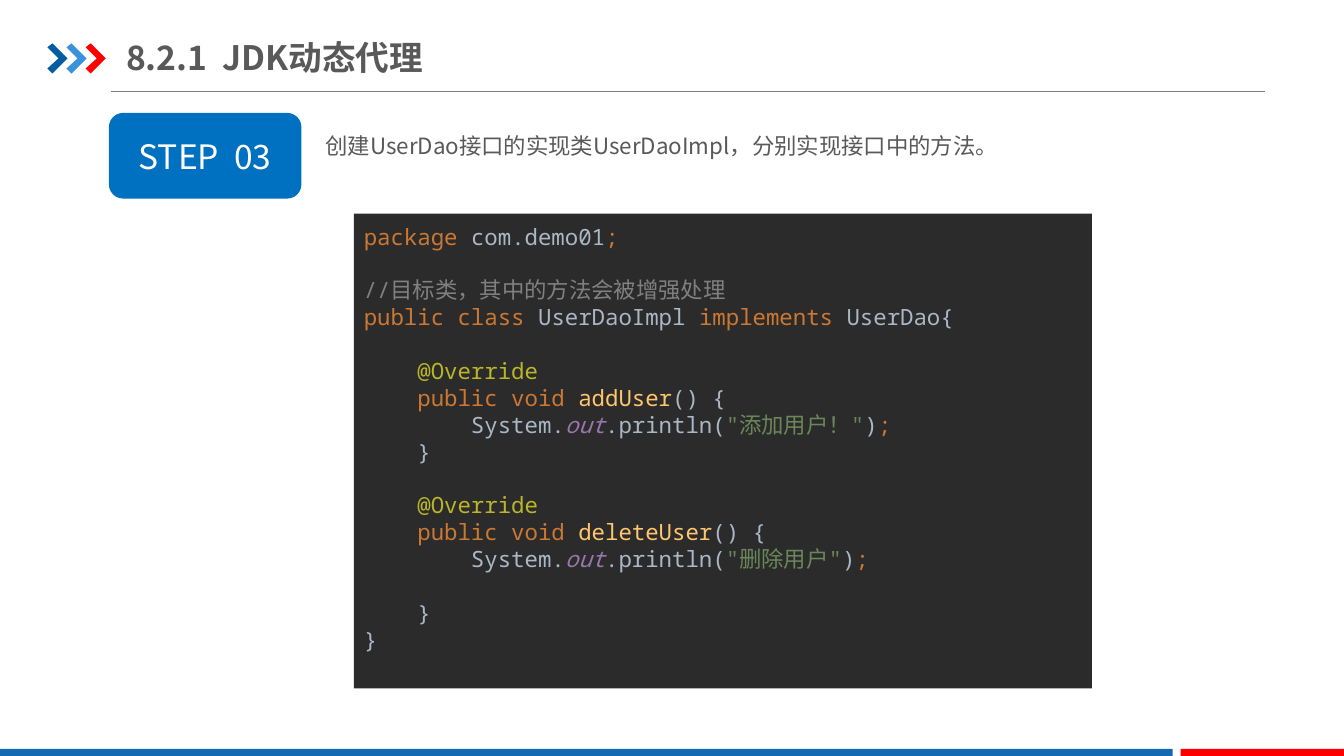
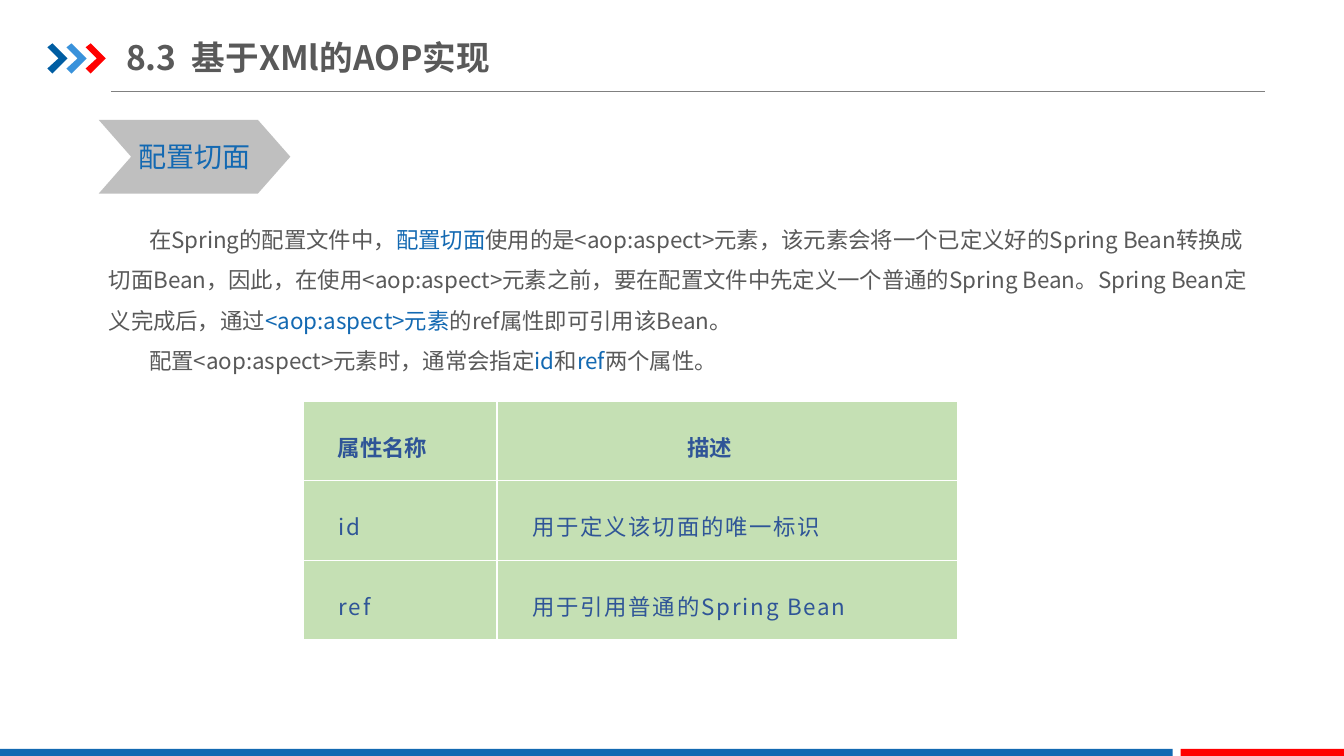
from dataclasses import dataclass
from typing import Any

from lxml.etree import SubElement
from pptx import Presentation
from pptx.dml.color import RGBColor
from pptx.enum.shapes import MSO_CONNECTOR as Connector, MSO_SHAPE as Preset
from pptx.enum.text import MSO_ANCHOR as Anchor, PP_ALIGN as Align
from pptx.oxml.ns import qn
from pptx.util import Inches, Pt

SANS = "Noto Sans CJK SC"
MONO = "Noto Sans Mono"

WHITE = RGBColor(0xFF, 0xFF, 0xFF)
GREY_TEXT = RGBColor(0x59, 0x59, 0x59)
GREY_RULE = RGBColor(0x80, 0x80, 0x80)
GREY_FILL = RGBColor(0xBF, 0xBF, 0xBF)
DARK_BLUE = RGBColor(0x00, 0x5D, 0xA2)
LIGHT_BLUE = RGBColor(0x39, 0x92, 0xDB)
BLUE = RGBColor(0x13, 0x69, 0xB2)
STEP_BLUE = RGBColor(0x00, 0x70, 0xC0)
RED = RGBColor(0xFF, 0x00, 0x00)
TABLE_BLUE = RGBColor(0x2F, 0x55, 0x97)
TABLE_GREEN = RGBColor(0xC5, 0xE0, 0xB4)

CODE_FILL = RGBColor(0x2B, 0x2B, 0x2B)
KEYWORD = RGBColor(0xCC, 0x78, 0x32)
PLAIN = RGBColor(0xA9, 0xB7, 0xC6)
COMMENT = RGBColor(0x80, 0x80, 0x80)
ANNOTATION = RGBColor(0xBB, 0xB5, 0x29)
METHOD = RGBColor(0xFF, 0xC6, 0x6D)
FIELD = RGBColor(0x98, 0x76, 0xAA)
STRING = RGBColor(0x6A, 0x87, 0x59)

TITLE_FORMAT = {"name": SANS, "size": Pt(24), "bold": True}
BODY_FORMAT = {"name": SANS, "size": Pt(16)}
LABEL_FORMAT = {"name": SANS, "size": Pt(20)}
STEP_FORMAT = {"name": SANS, "size": Pt(24)}
CODE_FORMAT = {"name": MONO, "size": Pt(16)}
HEADER_FORMAT = BODY_FORMAT | {"bold": True}

CODE_PITCH = Pt(19.2)
BODY_PITCH = Pt(28.8)
CELL_PITCH = Pt(22)


@dataclass(frozen=True)
class Box:
    left: float
    top: float
    width: float
    height: float

    def lengths(self) -> list[int]:
        return [Inches(value) for value in (self.left, self.top, self.width, self.height)]


@dataclass(frozen=True)
class Span:
    text: str
    color: RGBColor = GREY_TEXT
    italic: bool = False


@dataclass(frozen=True)
class CodeLine:
    spans: list[Span]
    gap_before: bool = False


def apply_format(target: Any, values: dict[str, Any]) -> None:
    for name, value in values.items():
        setattr(target, name, value)


def add_spans(para: Any, spans: list[Span], font_format: dict[str, Any], tracking: int = 0) -> None:
    """Add runs in one format; tracking is in hundredths of a point."""
    for span in spans:
        run = para.add_run()
        run.text = span.text
        apply_format(run.font, font_format | {"italic": span.italic})
        run.font.color.rgb = span.color
        properties = run._r.get_or_add_rPr()
        SubElement(properties, qn("a:ea"), typeface=SANS)
        if tracking:
            properties.set("spc", str(tracking))


def paint(shape: Any, color: RGBColor) -> None:
    shape.shadow.inherit = False
    shape.fill.solid()
    shape.fill.fore_color.rgb = color
    shape.line.fill.background()


def add_panel(slide: Any, preset: Preset, box: Box, color: RGBColor) -> Any:
    shape = slide.shapes.add_shape(preset, *box.lengths())
    paint(shape, color)
    return shape


def add_label(shape: Any, span: Span, font_format: dict[str, Any]) -> None:
    frame = shape.text_frame
    apply_format(frame, {"word_wrap": False, "vertical_anchor": Anchor.MIDDLE})
    para = frame.paragraphs[0]
    para.alignment = Align.CENTER
    add_spans(para, [span], font_format)


def add_body(slide: Any, box: Box, paragraphs: list[list[Span]], indent: float = 0) -> None:
    frame = slide.shapes.add_textbox(*box.lengths()).text_frame
    frame.word_wrap = True
    for index, spans in enumerate(paragraphs):
        para = frame.add_paragraph() if index else frame.paragraphs[0]
        para.line_spacing = BODY_PITCH
        para._p.get_or_add_pPr().set("indent", str(Inches(indent)))
        add_spans(para, spans, BODY_FORMAT)


def add_arrowhead(slide: Any, left: float, color: RGBColor) -> None:
    outline = [(0, 0.47), (0.05, 0.43), (0.2, 0.58), (0.05, 0.73), (0, 0.68), (0.11, 0.58)]
    points = [(Inches(left + x), Inches(y)) for x, y in outline]
    builder = slide.shapes.build_freeform(*points[0])
    builder.add_line_segments(points[1:], close=True)
    paint(builder.convert_to_shape(), color)


def dress_layout(layout: Any, slide: Any) -> None:
    """Draw the shared decoration on a slide, then move it to the layout."""
    apply_format(layout.placeholders[0], dict(zip(
        ("left", "top", "width", "height"), Box(1.25, 0.29, 11.3, 0.55).lengths())))
    apply_format(layout.placeholders[0].text_frame, {
        "margin_left": 0, "margin_right": 0, "margin_top": Inches(0.07),
        "margin_bottom": Inches(0.07), "vertical_anchor": Anchor.MIDDLE, "word_wrap": True})

    kept = len(slide.shapes)
    rule = slide.shapes.add_connector(
        Connector.STRAIGHT, Inches(1.1), Inches(0.91), Inches(12.55), Inches(0.91))
    rule.line.color.rgb = GREY_RULE
    rule.line.width = Pt(0.5)
    SubElement(rule._element.spPr, qn("a:effectLst"))
    for index, color in enumerate((DARK_BLUE, LIGHT_BLUE, RED)):
        add_arrowhead(slide, 0.47 + 0.19 * index, color)
    add_panel(slide, Preset.RECTANGLE, Box(0, 7.43, 11.63, 0.07), BLUE)
    add_panel(slide, Preset.RECTANGLE, Box(11.71, 7.43, 1.62, 0.07), RED)
    for shape in list(slide.shapes)[kept:]:
        layout.shapes._spTree.append(shape._element)


def set_title(slide: Any, text: str) -> None:
    para = slide.shapes.title.text_frame.paragraphs[0]
    para.alignment = Align.LEFT
    add_spans(para, [Span(text)], TITLE_FORMAT)


def method_lines(name: str, message: str, gap_before_end: bool) -> list[CodeLine]:
    return [
        CodeLine([Span("    @Override", ANNOTATION)], True),
        CodeLine([Span("    public void ", KEYWORD), Span(name, METHOD), Span("() {", PLAIN)]),
        CodeLine([Span("        System.", PLAIN), Span("out", FIELD, True),
                  Span(".println(", PLAIN), Span(f'"{message}"', STRING),
                  Span(")", PLAIN), Span(";", KEYWORD)]),
        CodeLine([Span("    }", PLAIN)], gap_before_end),
    ]


def add_code(slide: Any, box: Box, lines: list[CodeLine]) -> None:
    frame = add_panel(slide, Preset.RECTANGLE, box, CODE_FILL).text_frame
    apply_format(frame, {"word_wrap": True, "vertical_anchor": Anchor.TOP,
                         "margin_top": Inches(0.09)})
    for index, line in enumerate(lines):
        para = frame.add_paragraph() if index else frame.paragraphs[0]
        apply_format(para, {"alignment": Align.LEFT, "line_spacing": CODE_PITCH})
        if line.gap_before:
            para.space_before = CODE_PITCH
        add_spans(para, line.spans, CODE_FORMAT)


def style_cell(cell: Any) -> None:
    properties = cell._tc.get_or_add_tcPr()
    for side in ("a:lnL", "a:lnR", "a:lnT", "a:lnB"):
        border = SubElement(properties, qn(side), w=str(Pt(1)))
        fill = SubElement(border, qn("a:solidFill"))
        SubElement(fill, qn("a:srgbClr"), val=str(WHITE))
    cell.fill.solid()
    cell.fill.fore_color.rgb = TABLE_GREEN


def add_attribute_table(slide: Any, rows: list[tuple[str, str]]) -> None:
    widths = (1.92, 4.57)
    row_height = 0.79
    box = Box(3.01, 3.98, sum(widths), row_height * len(rows))
    table = slide.shapes.add_table(len(rows), len(widths), *box.lengths()).table
    apply_format(table, {"first_row": False, "horz_banding": False})
    for column, width in zip(table.columns, widths):
        column.width = Inches(width)
    for row_index, texts in enumerate(rows):
        table.rows[row_index].height = Inches(row_height)
        header = row_index == 0
        for column_index, text in enumerate(texts):
            cell = table.cell(row_index, column_index)
            style_cell(cell)
            apply_format(cell, {
                "vertical_anchor": Anchor.MIDDLE,
                "margin_left": Inches(0.17 if header else 0.35),
                "margin_right": Inches(0.52 if header else 0.35),
                "margin_top": Inches(0.3), "margin_bottom": Inches(0.18)})
            para = cell.text_frame.paragraphs[0]
            apply_format(para, {"alignment": Align.CENTER if header else Align.LEFT,
                                "line_spacing": CELL_PITCH})
            add_spans(para, [Span(text, TABLE_BLUE)],
                      HEADER_FORMAT if header else BODY_FORMAT, 0 if header else 130)


def build_proxy_slide(slide: Any) -> None:
    set_title(slide, "8.2.1  JDK动态代理")
    step = add_panel(slide, Preset.ROUNDED_RECTANGLE, Box(1.08, 1.12, 1.91, 0.85), STEP_BLUE)
    add_label(step, Span("STEP  03", WHITE), STEP_FORMAT)
    add_body(slide, Box(3.13, 1.13, 9.28, 0.46),
             [[Span("创建UserDao接口的实现类UserDaoImpl，分别实现接口中的方法。")]])
    add_code(slide, Box(3.51, 2.12, 7.32, 4.71), [
        CodeLine([Span("package ", KEYWORD), Span("com.demo01", PLAIN), Span(";", KEYWORD)]),
        CodeLine([Span("//目标类，其中的方法会被增强处理", COMMENT)], True),
        CodeLine([Span("public class ", KEYWORD), Span("UserDaoImpl ", PLAIN),
                  Span("implements ", KEYWORD), Span("UserDao{", PLAIN)]),
        *method_lines("addUser", "添加用户！", False),
        *method_lines("deleteUser", "删除用户", True),
        CodeLine([Span("}", PLAIN)]),
    ])


def build_aspect_slide(slide: Any) -> None:
    set_title(slide, "8.3  基于XMl的AOP实现")
    heading = add_panel(slide, Preset.CHEVRON, Box(0.98, 1.19, 1.9, 0.73), GREY_FILL)
    heading.adjustments[0] = 0.44
    add_label(heading, Span("配置切面", BLUE), LABEL_FORMAT)
    add_body(slide, Box(0.98, 2.06, 11.57, 1.73), [
        [Span("在Spring的配置文件中，"), Span("配置切面", BLUE),
         Span("使用的是<aop:aspect>元素，该元素会将一个已定义好的Spring Bean转换成切面Bean，"
              "因此，在使用<aop:aspect>元素之前，要在配置文件中先定义一个普通的Spring Bean。"
              "Spring Bean定义完成后，通过"),
         Span("<aop:aspect>元素", BLUE), Span("的ref属性即可引用该Bean。")],
        [Span("配置<aop:aspect>元素时，通常会指定"), Span("id", BLUE), Span("和"),
         Span("ref", BLUE), Span("两个属性。")],
    ], indent=0.4)
    add_attribute_table(slide, [
        ("属性名称", "描述"),
        ("id", "用于定义该切面的唯一标识"),
        ("ref", "用于引用普通的Spring Bean"),
    ])


def main() -> None:
    deck = Presentation()
    deck.slide_width = Inches(13.33)
    deck.slide_height = Inches(7.5)
    layout = deck.slide_layouts.get_by_name("Title Only")
    proxy_slide, aspect_slide = (deck.slides.add_slide(layout) for _ in range(2))
    dress_layout(layout, proxy_slide)
    build_proxy_slide(proxy_slide)
    build_aspect_slide(aspect_slide)
    deck.save("out.pptx")


if __name__ == "__main__":
    main()
